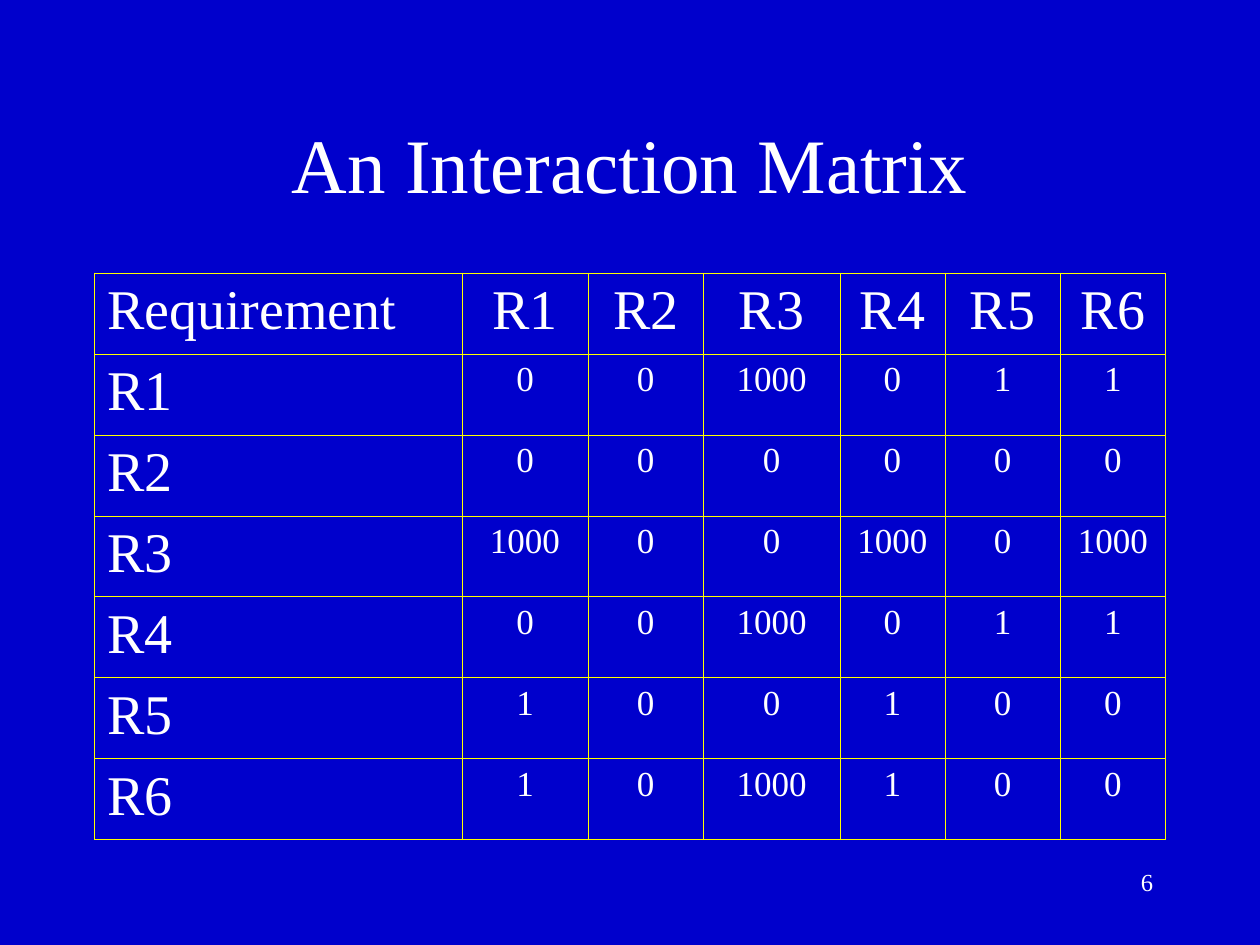
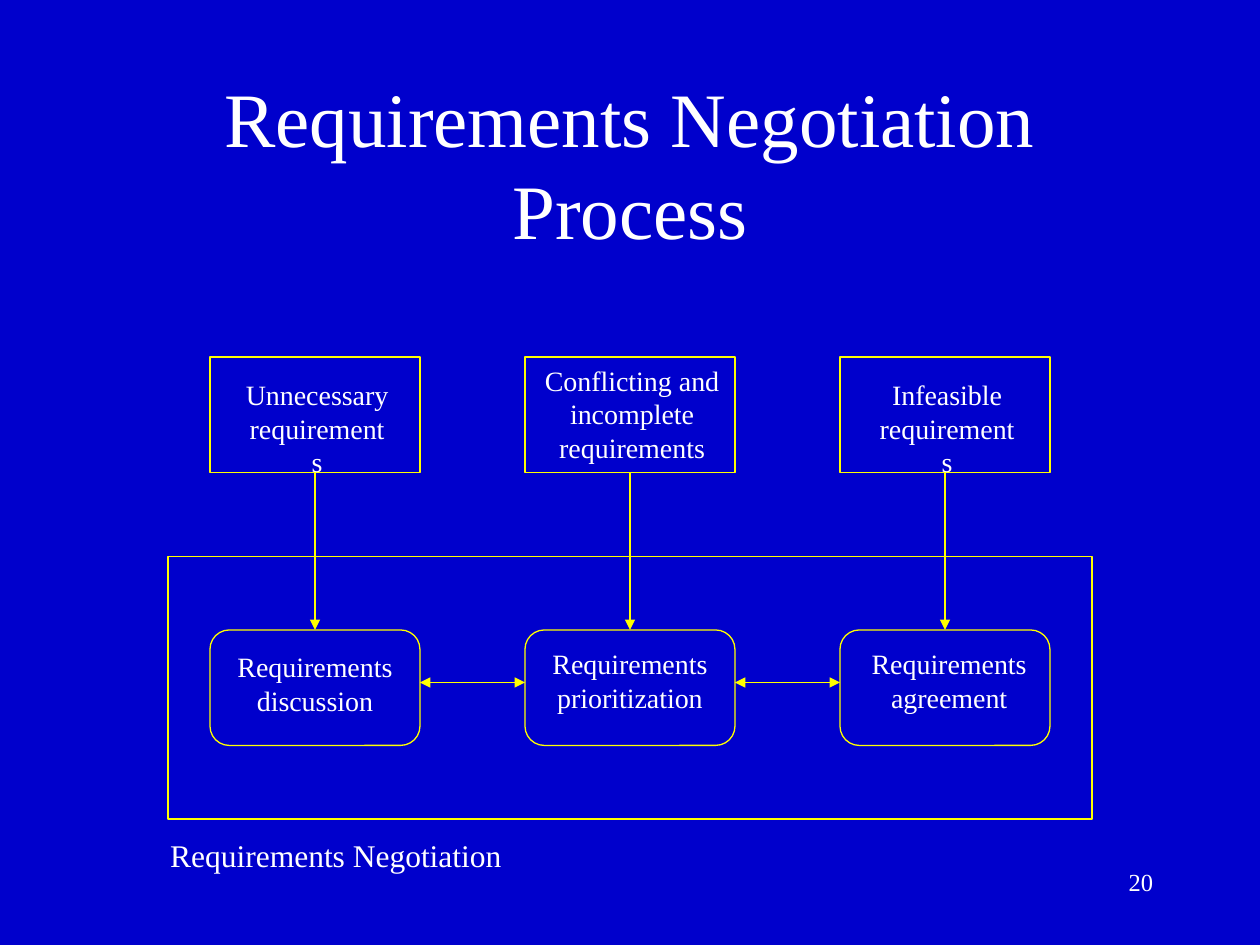
"""Build two slides on requirements: an interaction matrix and a negotiation process."""
from lxml.etree import SubElement as Sub
from pptx import Presentation
from pptx.dml.color import RGBColor as Rgb
from pptx.enum.shapes import MSO_CONNECTOR as Link, MSO_SHAPE as Form
from pptx.enum.text import MSO_ANCHOR as Anchor, MSO_AUTO_SIZE as Fit, PP_ALIGN as Align
from pptx.oxml.ns import qn
from pptx.util import Emu, Inches, Pt

HUE = {"back": "0000CC", "text": "FFFFFF", "line": "FFFF00"}
FACE = "Times New Roman"
UNIT = Inches(10) // 120


def grid(*cells):
    """Turn counts of grid columns and rows into lengths."""
    return [Emu(round(n * UNIT)) for n in cells]


def write(frame, text, size, align=Align.CENTER, **form):
    """Fill a text frame and format every paragraph."""
    frame.text = text
    for key, value in form.items():
        setattr(frame, key, value)
    for para in frame.paragraphs:
        para.alignment = align
        para.font.color.rgb = Rgb.from_string(HUE["text"])
        for key, value in {"name": FACE, "size": Pt(size), "bold": False}.items():
            setattr(para.font, key, value)


deck = Presentation()
deck.slide_width, deck.slide_height = grid(120, 90)
fill = deck.slide_master.background.fill
fill.solid()
fill.fore_color.rgb = Rgb.from_string(HUE["back"])

slides = []
for head, page in [("An Interaction Matrix", "6"), ("Requirements Negotiation Process", "20")]:
    slide = deck.slides.add_slide(deck.slide_layouts[5])
    title = slide.shapes.title
    for key, value in zip(("left", "top", "width", "height"), grid(9, 8, 102, 15)):
        setattr(title, key, value)
    write(title.text_frame, head, 44, auto_size=Fit.NONE, word_wrap=True,
          vertical_anchor=Anchor.MIDDLE)
    foot = slide.shapes.add_textbox(*grid(86, 82, 25, 6))
    write(foot.text_frame, page, 14, Align.RIGHT, word_wrap=True)
    slides.append(slide)
matrix, process = [slide.shapes for slide in slides]

names = ["R1", "R2", "R3", "R4", "R5", "R6"]
scores = [
    [0, 0, 1000, 0, 1, 1],
    [0, 0, 0, 0, 0, 0],
    [1000, 0, 0, 1000, 0, 1000],
    [0, 0, 1000, 0, 1, 1],
    [1, 0, 0, 1, 0, 0],
    [1, 0, 1000, 1, 0, 0],
]
rows = [["Requirement", *names]] + [[name, *row] for name, row in zip(names, scores)]
table = matrix.add_table(len(rows), len(rows[0]), *grid(9, 26, 102, 54)).table
table.first_row = table.horz_banding = False
for col, width in zip(table.columns, grid(35, 12, 11, 13, 10, 11, 10)):
    col.width = width
for r, row in enumerate(rows):
    for c, value in enumerate(row):
        cell = table.cell(r, c)
        write(cell.text_frame, str(value), 20 if r and c else 32,
              Align.CENTER if c else Align.LEFT)
        props = cell._tc.get_or_add_tcPr()
        for side in ("lnL", "lnR", "lnT", "lnB"):
            edge = Sub(props, qn(f"a:{side}"), w=str(Pt(0.45)))
            Sub(Sub(edge, qn("a:solidFill")), qn("a:srgbClr"), val=HUE["line"])
        cell.fill.background()

lefts = [20, 50, 80]
spots = [(Form.RECTANGLE, left, 34, 20, 11) for left in lefts]
spots += [(Form.ROUNDED_RECTANGLE, left, 60, 20, 11) for left in lefts]
spots += [(Form.RECTANGLE, 16, 53, 88, 25)]
boxes = []
for form, *place in spots:
    box = process.add_shape(form, *grid(*place))
    box.shadow.inherit = False
    box.fill.background()
    boxes.append(box)

links = []
for upper, lower in zip(boxes[:3], boxes[3:6]):
    link = process.add_connector(Link.STRAIGHT, 0, 0, 0, 0)
    link.begin_connect(upper, 2)
    link.end_connect(lower, 0)
    links.append((link, ["tailEnd"]))
for left, right in zip(lefts, lefts[1:]):
    link = process.add_connector(Link.STRAIGHT, *grid(left + 20, 65, right, 65))
    links.append((link, ["headEnd", "tailEnd"]))

for item in boxes + [link for link, ends in links]:
    item.line.color.rgb = Rgb.from_string(HUE["line"])
    item.line.width = Pt(0.75)
for link, ends in links:
    props = link.element.spPr
    for end in ends:
        Sub(props.find(qn("a:ln")), qn(f"a:{end}"), type="triangle")
    Sub(props, qn("a:effectLst"))

labels = [
    ("Unnecessary\nrequirements", 30.2, 35.4, 16.2, 7.7, 16),
    ("Conflicting and\nincomplete\nrequirements", 60.2, 34, 19, 10.8, 16),
    ("Infeasible\nrequirements", 90.2, 35.4, 16.2, 7.7, 16),
    ("Requirements\ndiscussion", 30, 61.3, 17.2, 7.7, 16),
    ("Requirements\nprioritization", 60, 61, 17.2, 7.7, 16),
    ("Requirements\nagreement", 90.4, 61, 17.2, 7.7, 16),
    ("Requirements Negotiation", 32, 79, 34, 4.8, 18),
]
for text, mid, top, width, height, size in labels:
    label = process.add_textbox(*grid(mid - width / 2, top, width, height))
    write(label.text_frame, text, size, word_wrap=False, auto_size=Fit.SHAPE_TO_FIT_TEXT)

deck.save("out.pptx")
